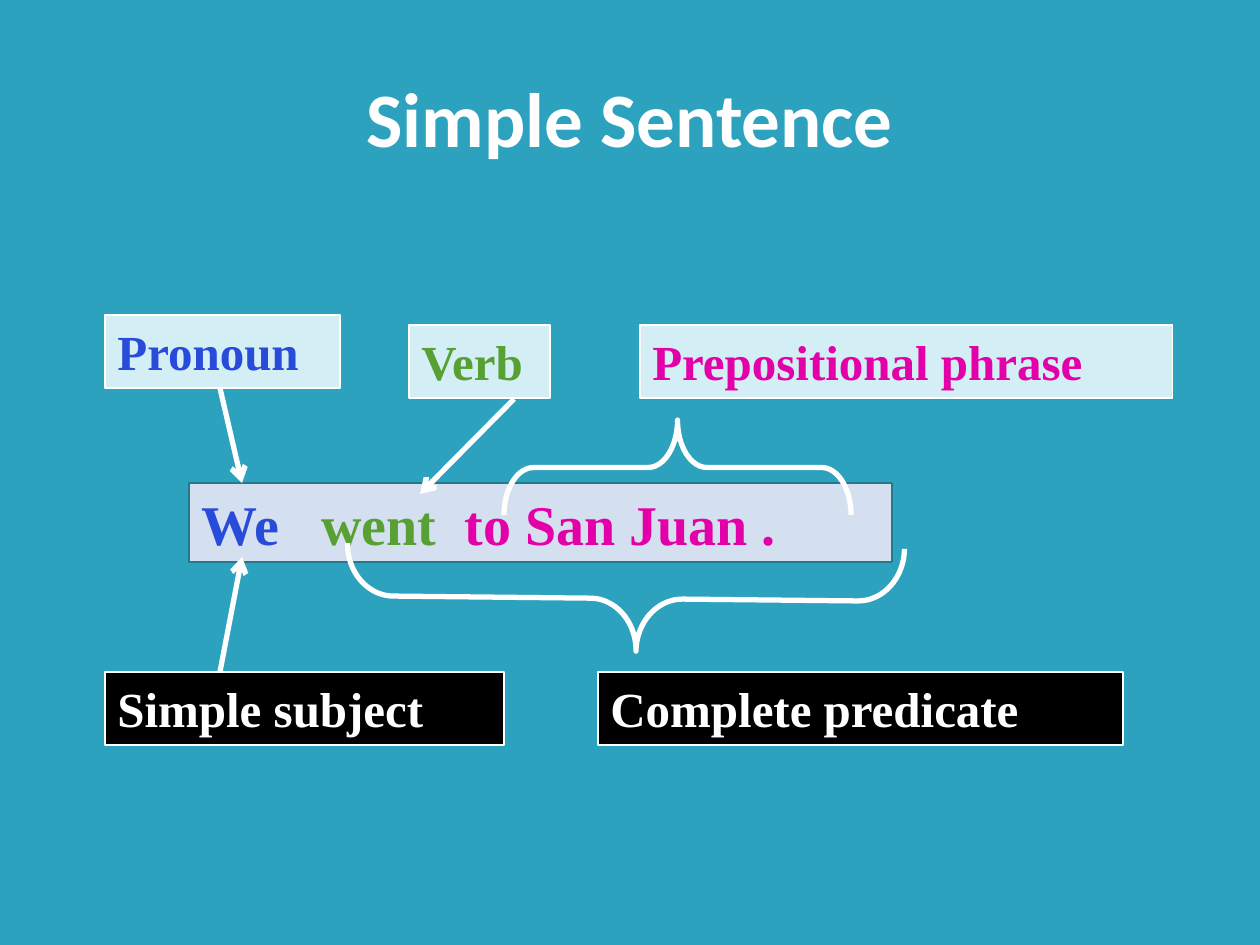
import pptx
import pptx.util
import pptx.dml.color
import pptx.enum.shapes
import pptx.enum.text
import pptx.oxml.ns
import lxml.etree

PX = 914400 // 126
HUES = {
    "back": "2DA2BF", "white": "FFFFFF", "black": "000000", "pale": "D3EEF5",
    "band": "D4DFEF", "edge": "227A8F", "blue": "294BD9", "green": "58A034",
    "pink": "E400A8",
}
SERIF = "Times New Roman"

# Content: places are left, top, width, height in px
TITLE = ("Simple Sentence", (63, 38, 1134, 157))
WORDS = [("We", "blue"), ("\twent", "green"), ("\tto San Juan .", "pink")]
BAND = (189, 483, 703, 79)
TABS = (120, 263)
LABELS = [
    ("Pronoun", "blue", "pale", (105, 315, 235, 73)),
    ("Verb", "green", "pale", (409, 325, 141, 73)),
    ("Simple subject", "white", "black", (105, 672, 399, 73)),
    ("Complete predicate", "white", "black", (598, 672, 525, 73)),
    ("Prepositional phrase", "pink", "pale", (640, 325, 533, 73)),
]
ARROWS = [(220, 388, 242, 483), (220, 672, 242, 557), (514, 399, 420, 494)]
BRACES = [  # place, turn, adjustments
    ((573, 320, 105, 557), 270.6, (0.44, 0.52)),
    ((630, 294, 95, 347), 90, (0.31, 0.5)),
]


def emu(vals):
    return [v * PX for v in vals]


def rgb(name):
    return pptx.dml.color.RGBColor.from_string(HUES[name])


def stroke(line, hue, width):
    line.color.rgb = rgb(hue)
    line.width = pptx.util.Pt(width)


def write(shape, runs, size, face, align, anchor):
    frame = shape.text_frame
    frame.word_wrap = True
    frame.vertical_anchor = anchor
    para = frame.paragraphs[0]
    para.alignment = align
    for text, hue in runs:
        run = para.add_run()
        run.text = text
        form = {"size": pptx.util.Pt(size), "name": face, "bold": True}
        for key, val in form.items():
            setattr(run.font, key, val)
        run.font.color.rgb = rgb(hue)
    return para


def box(place, fill, edge, runs, size):
    shape = shapes.add_shape(kinds.RECTANGLE, *emu(place))
    shape.shadow.inherit = False
    shape.fill.solid()
    shape.fill.fore_color.rgb = rgb(fill)
    stroke(shape.line, edge, 0.75)
    return write(shape, runs, size, SERIF, aligns.LEFT, anchors.TOP)


def child(parent, tag, **attrs):
    return lxml.etree.SubElement(parent, pptx.oxml.ns.qn(tag), **attrs)


kinds = pptx.enum.shapes.MSO_SHAPE
aligns = pptx.enum.text.PP_ALIGN
anchors = pptx.enum.text.MSO_ANCHOR

deck = pptx.Presentation()
deck.slide_width, deck.slide_height = emu((1260, 945))
slide = deck.slides.add_slide(deck.slide_layouts[6])
slide.background.fill.solid()
slide.background.fill.fore_color.rgb = rgb("back")
shapes = slide.shapes

# Title
text, place = TITLE
write(shapes.add_textbox(*emu(place)), [(text, "white")], 44, "Calibri",
      aligns.CENTER, anchors.MIDDLE)

# Sentence, with its parts set on tab stops
para = box(BAND, "band", "edge", WORDS, 32)
stops = child(para._p.get_or_add_pPr(), "a:tabLst")
for pos in emu(TABS):
    child(stops, "a:tab", pos=str(pos), algn="l")

# Labels
for text, hue, fill, place in LABELS:
    box(place, fill, "white", [(text, hue)], 28)

# Arrows
for ends in ARROWS:
    arrow = shapes.add_connector(pptx.enum.shapes.MSO_CONNECTOR.STRAIGHT,
                                 *emu(ends))
    stroke(arrow.line, "white", 3)
    child(arrow.line._get_or_add_ln(), "a:tailEnd", type="arrow")
    child(arrow._element.spPr, "a:effectLst")

# Braces
for place, turn, bends in BRACES:
    brace = shapes.add_shape(kinds.LEFT_BRACE, *emu(place))
    brace.shadow.inherit = False
    brace.fill.background()
    brace.rotation = turn
    stroke(brace.line, "white", 3)
    for i, bend in enumerate(bends):
        brace.adjustments[i] = bend

deck.save("out.pptx")
